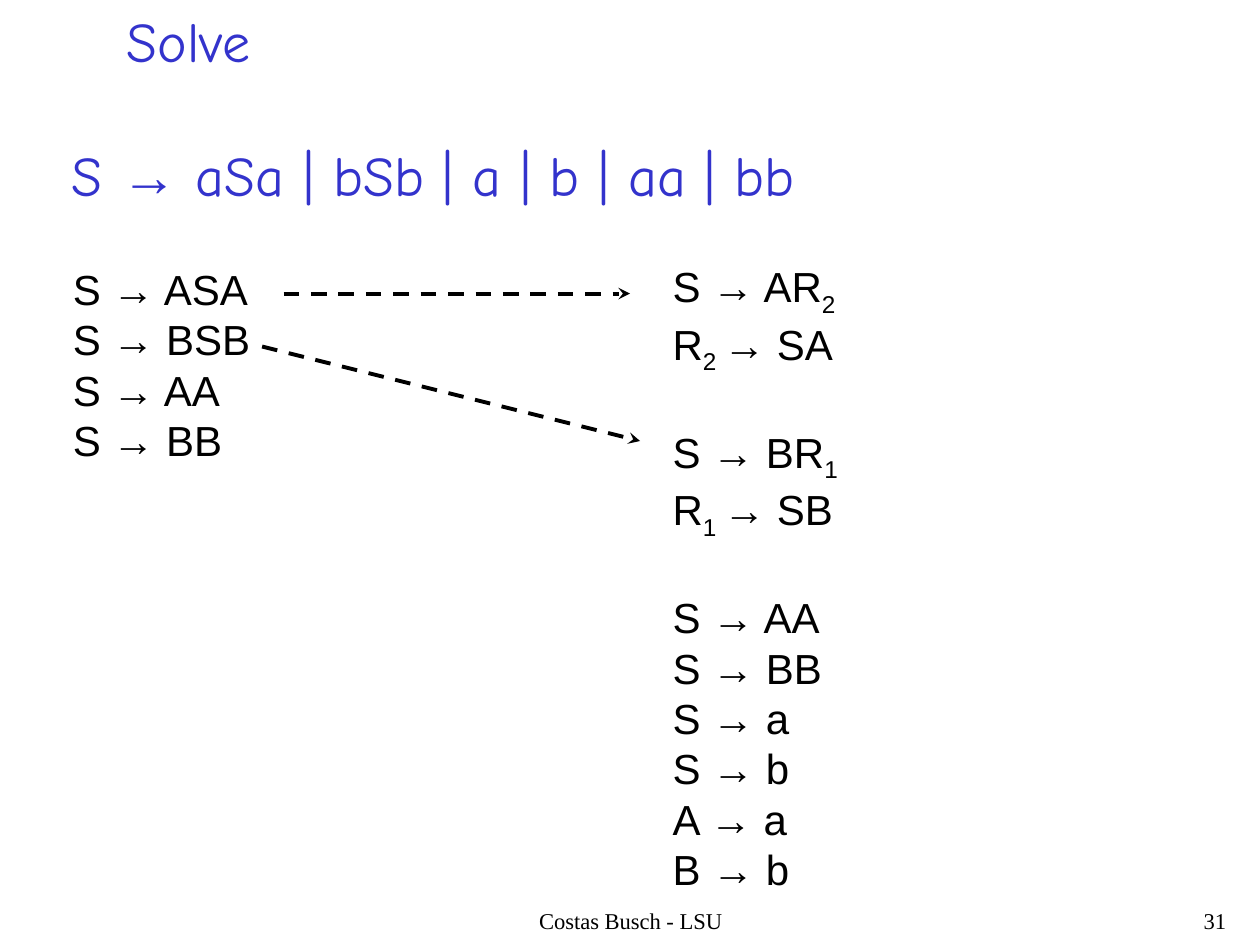
import pptx
import pptx.dml.color
import pptx.enum.dml
import pptx.enum.shapes
import pptx.enum.text
import pptx.oxml
import pptx.oxml.ns
import pptx.util
from pptx.util import Inches

BLACK, BLUE = "000000", "3333CC"
SANS, HAND, SERIF = "Arial", "Comic Neue", "Times New Roman"
ALIGN = pptx.enum.text.PP_ALIGN
A_NS = pptx.oxml.ns.nsdecls("a")


def rgb(value):
    return pptx.dml.color.RGBColor.from_string(value)


def add_text_frame(slide, box):
    frame = slide.shapes.add_textbox(*map(Inches, box)).text_frame
    frame.word_wrap = True
    return frame


def add_run(paragraph, text, size, font, color, subscript=False):
    run = paragraph.add_run()
    run.text = text
    run.font.size = pptx.util.Pt(size)
    run.font.name = font
    run.font.color.rgb = rgb(color)
    if subscript:
        run.font._element.set("baseline", "-25000")


def add_heading(slide, box, runs, line_spacing):
    """Blue 32 pt line made of (text, font) runs."""
    heading = add_text_frame(slide, box).paragraphs[0]
    heading.space_before = pptx.util.Pt(8)
    heading.line_spacing = line_spacing
    for text, font in runs:
        add_run(heading, text, 32, font, BLUE)


def add_rules(slide, box, groups):
    """Groups of grammar rules; "_" before a part makes it a subscript."""
    frame = add_text_frame(slide, box)
    for group_index, group in enumerate(groups):
        for rule_index, rule in enumerate(group):
            first = group_index == rule_index == 0
            line = frame.paragraphs[0] if first else frame.add_paragraph()
            if group_index and rule_index == 0:
                line.space_before = pptx.util.Pt(29)
            for part in rule:
                add_run(line, part.lstrip("_"), 24, SANS, BLACK, part.startswith("_"))


def add_dashed_arrow(slide, start, end):
    arrow = slide.shapes.add_connector(
        pptx.enum.shapes.MSO_CONNECTOR.STRAIGHT, *map(Inches, start + end))
    arrow.line.color.rgb = rgb(BLACK)
    arrow.line.width = pptx.util.Pt(2.25)
    arrow.line.dash_style = pptx.enum.dml.MSO_LINE.DASH
    arrow.line._get_or_add_ln().append(
        pptx.oxml.parse_xml(f'<a:tailEnd {A_NS} type="stealth"/>'))
    arrow._element.spPr.append(pptx.oxml.parse_xml(f"<a:effectLst {A_NS}/>"))


def add_footer(slide, box, text, alignment):
    footer = add_text_frame(slide, box).paragraphs[0]
    footer.alignment = alignment
    footer.line_spacing = 0.9
    add_run(footer, text, 12.9, SERIF, BLACK)


def main():
    deck = pptx.Presentation()
    deck.slide_width, deck.slide_height = Inches(10), Inches(7.5)
    slide = deck.slides.add_slide(deck.slide_layouts[6])

    # Footer
    add_footer(slide, (3.42, 7.17, 3.17, 0.33), "Costas Busch - LSU", ALIGN.CENTER)
    add_footer(slide, (7.75, 7.17, 2.08, 0.33), "31", ALIGN.RIGHT)

    # Title and grammar to convert
    add_heading(slide, (0.91, 0, 1.3, 0.64), [("Solve", HAND)], 1.0)
    add_heading(slide, (0.47, 1.13, 6.2, 0.64),
                [("S ", HAND), ("→", SANS), (" aSa | bSb | a | b | aa | bb", HAND)], 0.9)

    # Rules with variables for terminals
    add_rules(slide, (0.48, 2.04, 4.2, 1.7),
              [[["S → ASA"], ["S → BSB"], ["S → AA"], ["S → BB"]]])

    # Rules in normal form
    add_rules(slide, (5.24, 2.02, 1.6, 5.12), [
        [["S → AR", "_2"], ["R", "_2 ", "→ SA"]],
        [["S → BR", "_1"], ["R", "_1 ", "→ SB"]],
        [["S → AA"], ["S → BB"], ["S → a"], ["S → b"], ["A → a"], ["B → b"]],
    ])

    # Long rules split in two
    add_dashed_arrow(slide, (2.25, 2.33), (5, 2.33))
    add_dashed_arrow(slide, (2.08, 2.75), (5.08, 3.5))

    deck.save("out.pptx")


if __name__ == "__main__":
    main()
